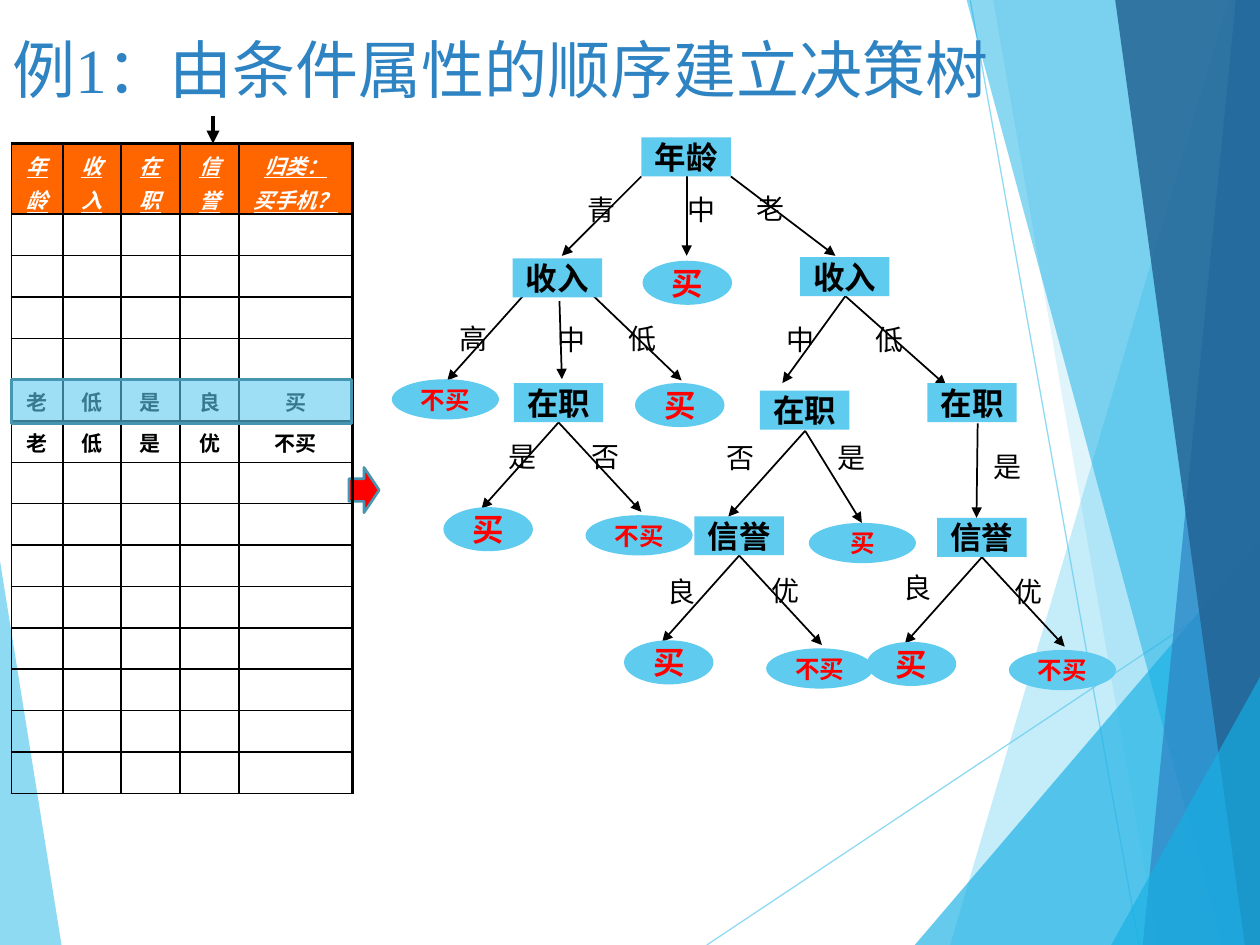
from dataclasses import dataclass
from typing import NamedTuple

from lxml.etree import SubElement
from pptx import Presentation
from pptx.dml.color import RGBColor
from pptx.enum.shapes import MSO_CONNECTOR as Connector, MSO_SHAPE as Preset
from pptx.enum.text import MSO_ANCHOR as Anchor, PP_ALIGN as Align
from pptx.oxml.ns import qn
from pptx.util import Pt


@dataclass(frozen=True)
class Theme:
    sky: str = "5FCBEF"
    cyan: str = "17B0E4"
    blue: str = "2E83C3"
    navy: str = "226292"
    outline: str = "4696B1"
    header: str = "FF6600"
    red: str = "FF0000"
    black: str = "000000"
    white: str = "FFFFFF"
    serif: str = "Times New Roman"
    sans: str = "Lato"
    table_font: str = "Arial"
    title_size: float = 36
    node_size: float = 18
    label_size: float = 16
    leaf_size: float = 14
    table_size: float = 12


THEME = Theme()


class Facet(NamedTuple):
    points: list
    color: str
    opacity: int


class Kind(NamedTuple):
    preset: int
    width: float
    height: float
    size: float
    color: str


class Node(NamedTuple):
    text: str
    left: float
    top: float
    kind: Kind


class Edge(NamedTuple):
    x1: float
    y1: float
    x2: float
    y2: float


class Label(NamedTuple):
    text: str
    left: float
    top: float


class Split(NamedTuple):
    attribute: str
    x: float
    y: float
    left_label: Label
    right_text: str


TEST = Kind(Preset.RECTANGLE, 51.1, 22.3, THEME.node_size, THEME.black)
BUY = Kind(Preset.OVAL, 51.1, 25.2, THEME.node_size, THEME.red)
WIDE = Kind(Preset.OVAL, 61.2, 23, THEME.leaf_size, THEME.red)

FACETS_BACK = [Facet([(-0.7, 316), (35.3, 540.7), (-0.7, 540)], THEME.sky, 70)]
FACETS_FRONT = [
    Facet([(702, 0), (542.9, 540), (721, 540.7), (720.7, 0.7)], THEME.sky, 36),
    Facet([(567.4, -0.7), (661.7, 540), (720.7, 540), (720.7, -0.7)], THEME.sky, 20),
    Facet([(522.7, 540), (720, 308.9), (720.7, 540)], THEME.cyan, 66),
    Facet([(552.2, -0.7), (698.4, 540), (720.7, 540), (720.7, -0.7)], THEME.cyan, 50),
    Facet([(706.3, -0.7), (653, 540), (720.7, 540), (720, -0.7)], THEME.blue, 70),
    Facet([(637.2, -0.7), (711.4, 540), (721, 540), (720, -0.7)], THEME.navy, 82),
    Facet([(635, 540), (721, 385.2), (721, 540)], THEME.cyan, 66),
]
FACET_LINES = [Edge(403.9, 540, 720.7, 329), Edge(554.4, 0, 650.9, 540)]

NODES = [
    Node("年龄", 366.5, 78.5, TEST),
    Node("收入", 293, 147.6, TEST),
    Node("收入", 457.2, 146.9, TEST),
    Node("在职", 434.2, 223.2, TEST),
    Node("在职", 529.9, 218.9, TEST),
    Node("买", 367.2, 149, BUY),
    Node("买", 362.9, 218.9, BUY),
    Node("不买", 223.9, 216.7, WIDE),
    Node("买", 462.2, 298.8, WIDE),
]
EDGES = [
    Edge(392.4, 100.8, 392.4, 146.2),
    Edge(366.5, 100.8, 321.1, 146.2),
    Edge(417.6, 100.8, 477.4, 146.2),
    Edge(298.8, 169.2, 255.6, 217.4),
    Edge(319.7, 172.1, 321.1, 216.7),
    Edge(337.7, 167.8, 389.5, 217.4),
    Edge(483.1, 169.2, 447.1, 218.9),
    Edge(483.1, 169.2, 540.7, 220.3),
    Edge(460.1, 246.2, 416.2, 295.2),
    Edge(460.1, 246.2, 492.5, 298.8),
    Edge(558.7, 241.9, 558, 295.9),
]
LABELS = [
    Label("青", 321.1, 106.6), Label("中", 378, 106.6), Label("老", 417.6, 105.8),
    Label("高", 247.7, 180), Label("中", 303.8, 180.7), Label("低", 344.2, 180),
    Label("中", 434.9, 180.7), Label("低", 485.3, 180.7),
    Label("否", 400.3, 248.4), Label("是", 463.7, 248.4), Label("是", 553, 253.4),
]
SPLITS = [
    Split("在职", 319.2, 241.4, Label("是", 275.8, 247.7), "否"),
    Split("信誉", 422.4, 317.5, Label("良", 366.5, 324.7), "优"),
    Split("信誉", 561.1, 318.4, Label("良", 501.8, 322.6), "优"),
]

COLUMNS = [29.5, 33.1, 33.8, 33.8, 64.8]
HEADINGS = ["年\n龄", "收\n入", "在\n职", "信\n誉", "归类：\n买手机？"]
RECORDS = {5: ["老", "低", "是", "良", "买"], 6: ["老", "低", "是", "优", "不买"]}
ROW_COUNT, HEADER_HEIGHT, ROW_HEIGHT = 15, 40.3, 23.66


def rgb(color: str) -> RGBColor:
    return RGBColor.from_string(color)


def set_opacity(shape, percent: int) -> None:
    for color in shape._element.spPr.iter(qn("a:srgbClr")):
        SubElement(color, qn("a:alpha"), val=str(percent * 1000))


def style_text(frame, font: str, size: float, color: str, bold=False, italic=False, align=Align.CENTER) -> None:
    for paragraph in frame.paragraphs:
        paragraph.alignment = align
        for run in paragraph.runs:
            run.font.name, run.font.size = font, Pt(size)
            run.font.bold, run.font.italic, run.font.underline = bold, italic, italic
            run.font.color.rgb = rgb(color)


def draw_shape(slide, preset, left, top, width, height, fill, line=None, opacity=100):
    shape = slide.shapes.add_shape(preset, Pt(left), Pt(top), Pt(width), Pt(height))
    shape.shadow.inherit = False
    shape.fill.solid()
    shape.fill.fore_color.rgb = rgb(fill)
    if opacity < 100:
        set_opacity(shape, opacity)
    if line:
        shape.line.color.rgb, shape.line.width = rgb(line), Pt(1.5)
    else:
        shape.line.fill.background()
    return shape


def draw_facet(slide, facet: Facet) -> None:
    points = [(Pt(x), Pt(y)) for x, y in facet.points]
    builder = slide.shapes.build_freeform(*points[0], scale=1.0)
    builder.add_line_segments(points[1:], close=True)
    shape = builder.convert_to_shape()
    shape.shadow.inherit = False
    shape.fill.solid()
    shape.fill.fore_color.rgb = rgb(facet.color)
    set_opacity(shape, facet.opacity)
    shape.line.fill.background()


def draw_edge(slide, edge: Edge, color=THEME.black, width=1.0, arrow=True):
    connector = slide.shapes.add_connector(Connector.STRAIGHT, *map(Pt, edge))
    connector.line.color.rgb, connector.line.width = rgb(color), Pt(width)
    if arrow:
        SubElement(connector.line._get_or_add_ln(), qn("a:tailEnd"), type="triangle")
    SubElement(connector._element.spPr, qn("a:effectLst"))
    return connector


def draw_node(slide, node: Node) -> None:
    kind = node.kind
    shape = draw_shape(slide, kind.preset, node.left, node.top, kind.width, kind.height, THEME.sky)
    frame = shape.text_frame
    frame.margin_left = frame.margin_right = frame.margin_top = frame.margin_bottom = 0
    frame.word_wrap, frame.vertical_anchor = False, Anchor.MIDDLE
    frame.text = node.text
    style_text(frame, THEME.sans, kind.size, kind.color, bold=True)


def draw_text(slide, text, left, top, width, height, size, color, align) -> None:
    frame = slide.shapes.add_textbox(Pt(left), Pt(top), Pt(width), Pt(height)).text_frame
    frame.word_wrap = True
    frame.text = text
    style_text(frame, THEME.serif, size, color, align=align)


def draw_label(slide, label: Label) -> None:
    draw_text(slide, *label, 45.4, 26.6, THEME.label_size, THEME.black, Align.CENTER)


def draw_split(slide, split: Split) -> None:
    x, y = split.x, split.y
    draw_edge(slide, Edge(x, y, x - 44, y + 49.3))
    draw_edge(slide, Edge(x, y, x + 47.3, y + 51.1))
    draw_label(slide, split.left_label)
    draw_label(slide, Label(split.right_text, x + 4, y + 6.5))
    draw_node(slide, Node(split.attribute, x - 25.6, y - 22.5, TEST))
    draw_node(slide, Node("买", x - 65.8, y + 48.4, BUY))
    draw_node(slide, Node("不买", x + 15.4, y + 53, WIDE))


def set_borders(cell, widths: dict) -> None:
    for side, width in widths.items():
        line = SubElement(cell._tc.get_or_add_tcPr(), qn(f"a:ln{side}"), w=str(Pt(width)))
        SubElement(SubElement(line, qn("a:solidFill")), qn("a:srgbClr"), val=THEME.black)


def draw_table(slide) -> None:
    height = HEADER_HEIGHT + ROW_HEIGHT * (ROW_COUNT - 1)
    table = slide.shapes.add_table(ROW_COUNT, len(COLUMNS), Pt(6.5), Pt(82.1), Pt(sum(COLUMNS)), Pt(height)).table
    table.first_row = table.horz_banding = False
    for column, width in zip(table.columns, COLUMNS):
        column.width = Pt(width)
    for r, row in enumerate(table.rows):
        row.height = Pt(ROW_HEIGHT if r else HEADER_HEIGHT)
        texts = RECORDS.get(r, [""] * len(COLUMNS)) if r else HEADINGS
        for c, (cell, text) in enumerate(zip(row.cells, texts)):
            last = c == len(COLUMNS) - 1
            set_borders(cell, {"L": 1, "R": 2.25 if last else 1, "T": 1 if r else 2.25, "B": 1})
            frame = cell.text_frame
            if text:
                frame.text = text
                for paragraph in frame.paragraphs[1:]:
                    paragraph.space_before = Pt(2.4)
            else:
                SubElement(frame.paragraphs[0]._p, qn("a:endParaRPr"), sz=str(int(THEME.table_size * 100)))
            if r:
                cell.fill.background()
                style_text(frame, THEME.table_font, THEME.table_size, THEME.black, bold=True)
            else:
                cell.fill.solid()
                cell.fill.fore_color.rgb = rgb(THEME.header)
                style_text(frame, THEME.serif, THEME.table_size, THEME.white, bold=True, italic=True)


def draw_background(slide) -> None:
    for facet in FACETS_BACK:
        draw_facet(slide, facet)
    for line in FACET_LINES:
        set_opacity(draw_edge(slide, line, THEME.sky, 0.75, arrow=False), 70)
    for facet in FACETS_FRONT:
        draw_facet(slide, facet)


def main() -> None:
    presentation = Presentation()
    presentation.slide_width, presentation.slide_height = Pt(720), Pt(540)
    slide = presentation.slides.add_slide(presentation.slide_layouts[6])
    draw_background(slide)
    draw_shape(slide, Preset.RIGHT_ARROW, 199.4, 267.1, 17.3, 25.9, THEME.red, THEME.outline)
    draw_text(slide, "例1：由条件属性的顺序建立决策树", 0, 13.7, 619.2, 38.2, THEME.title_size, THEME.blue, Align.LEFT)
    draw_edge(slide, Edge(121.7, 66.2, 121.7, 82.1), width=2.5)
    draw_table(slide)
    draw_shape(slide, Preset.RECTANGLE, 6.5, 216.7, 194.4, 25.2, THEME.sky, THEME.outline, opacity=60)
    for draw, items in ((draw_edge, EDGES), (draw_label, LABELS), (draw_node, NODES), (draw_split, SPLITS)):
        for item in items:
            draw(slide, item)
    presentation.save("out.pptx")


if __name__ == "__main__":
    main()
